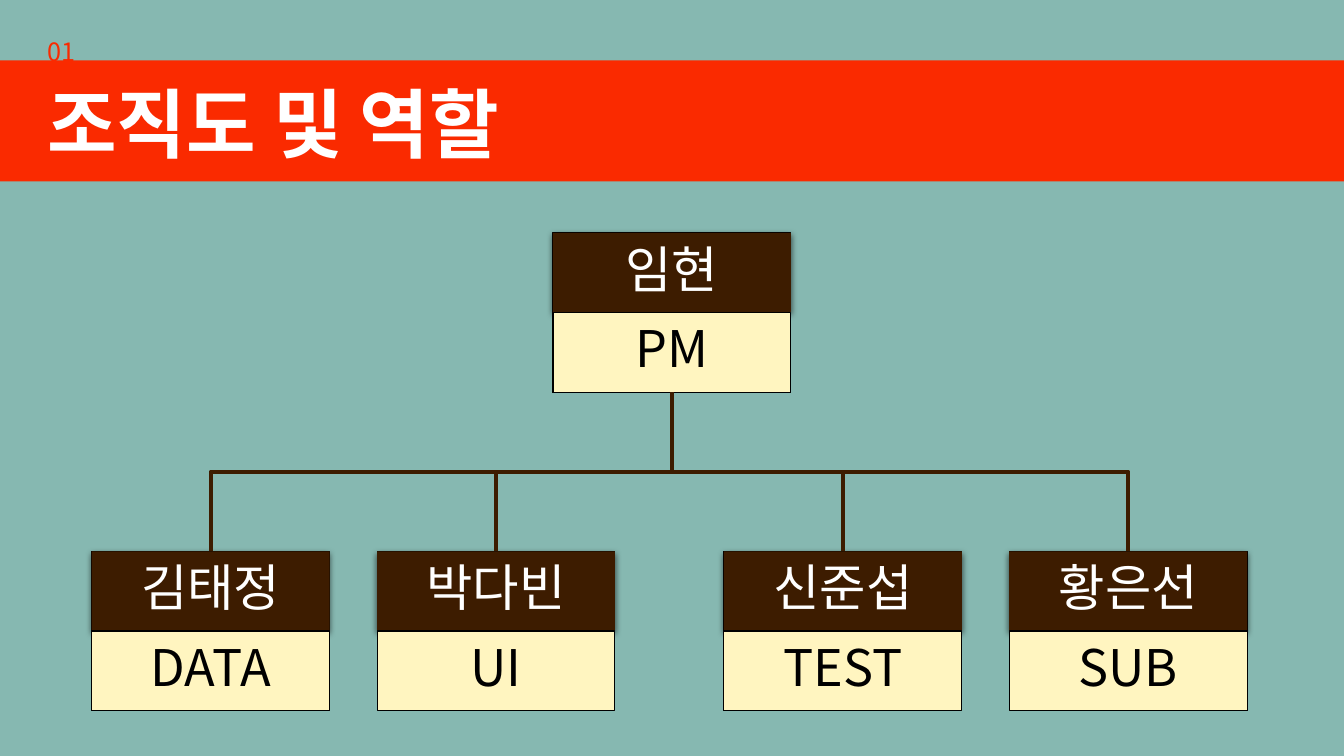
from dataclasses import dataclass

import lxml.etree
import pptx
import pptx.dml.color
import pptx.enum.shapes
import pptx.enum.text
import pptx.oxml
import pptx.oxml.ns
import pptx.util


@dataclass(frozen=True)
class Theme:
    font: str = "Noto Sans CJK KR"
    background: str = "86B8B1"
    accent: str = "FA2A00"
    dark: str = "3D1C00"
    cream: str = "FFF5C0"
    black: str = "000000"
    white: str = "FFFFFF"
    number_size: int = 18
    title_size: int = 54
    card_size: int = 36
    border: float = 0.75
    branch: int = 3


THEME = Theme()
SLIDE_WIDTH, SLIDE_HEIGHT = 13.33, 7.5
MARGIN = 0.37
CARD_WIDTH, ROW = 2.36, 0.79
CHART_TOP = 2.31
TEAM_TOP = CHART_TOP + 4 * ROW
TEAM_MIDDLE = 6.64
INNER, OUTER = 1.72, 4.55
LEAD = ("임현", "PM")
TEAM = [
    (-OUTER, "김태정", "DATA"),
    (-INNER, "박다빈", "UI"),
    (INNER, "신준섭", "TEST"),
    (OUTER, "황은선", "SUB"),
]


def inches(*lengths):
    return [pptx.util.Inches(length) for length in lengths]


def rgb(color):
    return pptx.dml.color.RGBColor.from_string(color)


def write(shape, text, size, color, centered=False, bold=False):
    frame = shape.text_frame
    frame.vertical_anchor = pptx.enum.text.MSO_ANCHOR.TOP
    paragraph = frame.paragraphs[0]
    paragraph.text = text
    align = pptx.enum.text.PP_ALIGN
    paragraph.alignment = align.CENTER if centered else align.LEFT
    font = paragraph.font
    font.name = THEME.font
    font.size = pptx.util.Pt(size)
    font.bold = bold
    font.color.rgb = rgb(color)
    properties = font._element
    for tag in ("a:ea", "a:cs"):
        face = lxml.etree.SubElement(properties, pptx.oxml.ns.qn(tag))
        face.set("typeface", THEME.font)


def add_label(slide, box, text, size, color, bold=False):
    shape = slide.shapes.add_textbox(*inches(*box))
    shape.text_frame.word_wrap = False
    write(shape, text, size, color, bold=bold)


def add_rectangle(slide, box, fill=None, line=None):
    shape = slide.shapes.add_shape(
        pptx.enum.shapes.MSO_SHAPE.RECTANGLE, *inches(*box))
    shape.shadow.inherit = False
    if fill:
        shape.fill.solid()
        shape.fill.fore_color.rgb = rgb(fill)
    else:
        shape.fill.background()
    if line:
        shape.line.color.rgb = rgb(line)
        shape.line.width = pptx.util.Pt(THEME.border)
    else:
        shape.line.fill.background()
    return shape


def add_shadow(shape):
    effects = shape._element.spPr.find(pptx.oxml.ns.qn("a:effectLst"))
    effects.append(pptx.oxml.parse_xml(
        f'<a:outerShdw {pptx.oxml.ns.nsdecls("a")} blurRad="57150" dist="19050" '
        f'dir="5400000" algn="ctr" rotWithShape="0"><a:srgbClr val="{THEME.black}">'
        '<a:alpha val="63000"/></a:srgbClr></a:outerShdw>'))


def add_card(slide, center, top, name, role):
    left = center - CARD_WIDTH / 2
    add_rectangle(slide, (left, top, CARD_WIDTH, 2 * ROW), line=THEME.black)
    name_cell = add_rectangle(slide, (left, top, CARD_WIDTH, ROW), THEME.dark)
    add_shadow(name_cell)
    write(name_cell, name, THEME.card_size, THEME.white, centered=True)
    role_cell = add_rectangle(
        slide, (left, top + ROW, CARD_WIDTH, ROW), THEME.cream, THEME.black)
    write(role_cell, role, THEME.card_size, THEME.black, centered=True)
    return name_cell, role_cell


def add_branch(slide, member, lead):
    connector = slide.shapes.add_connector(
        pptx.enum.shapes.MSO_CONNECTOR.ELBOW, 0, 0, 0, 0)
    connector.begin_connect(member, 0)
    connector.end_connect(lead, 2)
    start_x, end_x = connector.begin_x, connector.end_x
    start_y, end_y = connector.begin_y, connector.end_y
    rise, run = abs(start_y - end_y), abs(start_x - end_x)
    connector.left = (start_x + end_x - rise) // 2
    connector.top = (start_y + end_y - run) // 2
    connector.width, connector.height = rise, run
    on_left = start_x < end_x
    transform = connector._element.spPr.find(pptx.oxml.ns.qn("a:xfrm"))
    transform.set("rot", str((90 if on_left else 270) * 60000))
    transform.set("flipH", "1" if on_left else "0")
    transform.set("flipV", "1")
    connector.line.color.rgb = rgb(THEME.dark)
    connector.line.width = pptx.util.Pt(THEME.branch)
    lxml.etree.SubElement(
        connector._element.spPr, pptx.oxml.ns.qn("a:effectLst"))


def main():
    presentation = pptx.Presentation()
    presentation.slide_width, presentation.slide_height = inches(
        SLIDE_WIDTH, SLIDE_HEIGHT)
    slide = presentation.slides.add_slide(presentation.slide_layouts[6])
    slide.background.fill.solid()
    slide.background.fill.fore_color.rgb = rgb(THEME.background)

    add_rectangle(
        slide, (0, SLIDE_HEIGHT * 0.08, SLIDE_WIDTH, SLIDE_HEIGHT * 0.16), THEME.accent)
    add_label(slide, (MARGIN, 0.31, 1.66, 0.4), "01",
              THEME.number_size, THEME.accent)
    add_label(slide, (MARGIN, 0.71, 5.28, 1.01), "조직도 및 역할",
              THEME.title_size, THEME.white, bold=True)

    lead_role = add_card(slide, SLIDE_WIDTH / 2, CHART_TOP, *LEAD)[1]
    for offset, name, role in TEAM:
        member = add_card(slide, TEAM_MIDDLE + offset, TEAM_TOP, name, role)[0]
        add_branch(slide, member, lead_role)

    presentation.save("out.pptx")


if __name__ == "__main__":
    main()
